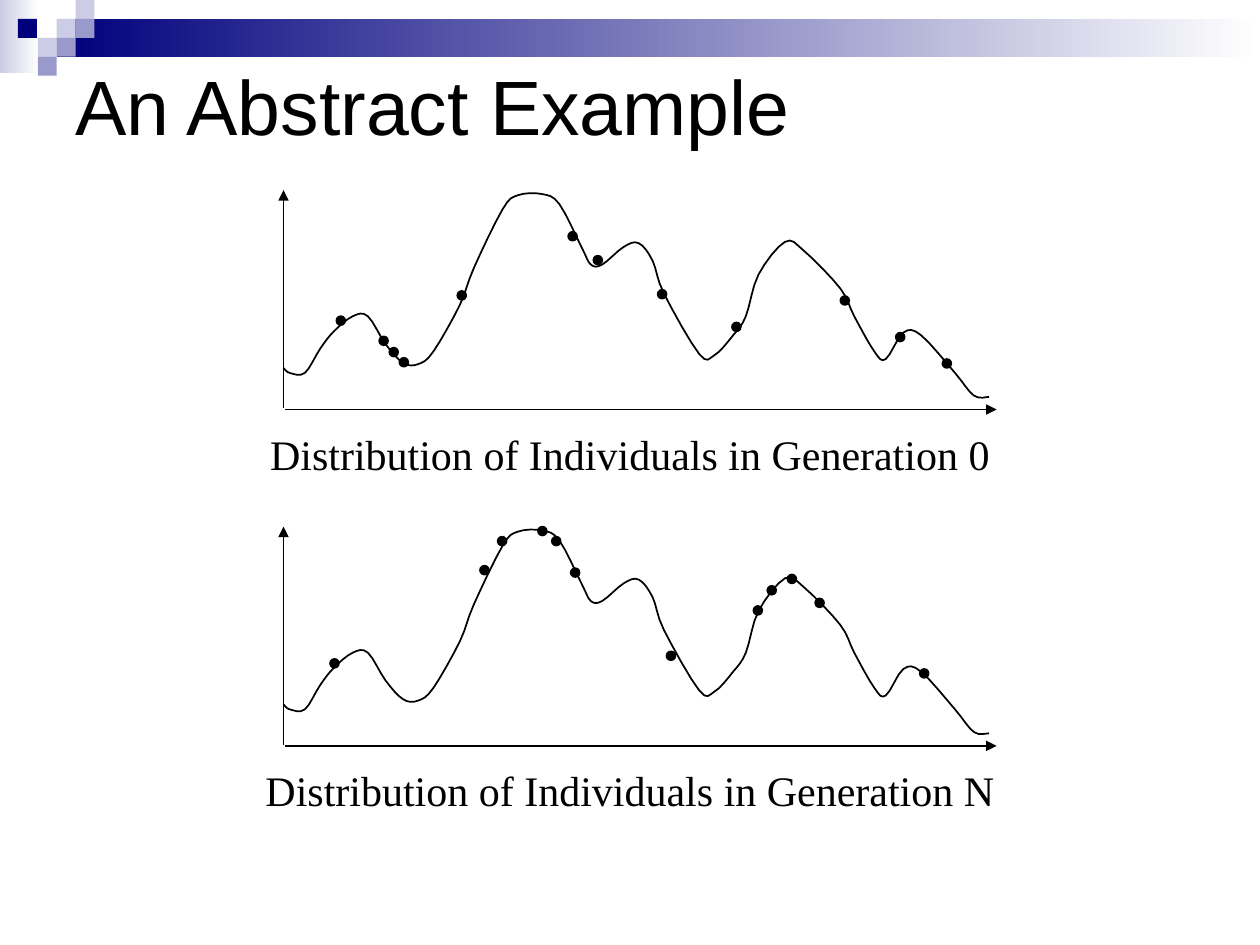
from dataclasses import dataclass

from pptx import Presentation
from pptx import util as u
from pptx.dml import color as dc
from pptx.enum import shapes as es
from pptx.enum import text as et
from pptx.oxml import ns
from lxml import etree

Point = tuple[float, float]
BLACK, NAVY, PALE, MID, WHITE = "000000", "00007D", "CCCCE6", "9999CC", "FFFFFF"
CELL, DOT, DROP = 0.15, 0.07, 2.67  # tile side, dot width, gap between plots
STEPS = 4  # segments between two knots

# Knots of the fitness curve in the upper plot, in inches
KNOTS: list[Point] = [
    (2.25, 2.92), (2.3, 2.96), (2.42, 2.96), (2.54, 2.77), (2.65, 2.63),
    (2.8, 2.51), (2.92, 2.51), (3.06, 2.73), (3.2, 2.88), (3.32, 2.89),
    (3.44, 2.79), (3.65, 2.42), (3.76, 2.13), (3.99, 1.66), (4.11, 1.55),
    (4.3, 1.54), (4.44, 1.62), (4.62, 1.97), (4.69, 2.1), (4.78, 2.1),
    (4.95, 1.96), (5.07, 1.93), (5.18, 2.07), (5.27, 2.33), (5.55, 2.81),
    (5.67, 2.82), (5.82, 2.66), (5.92, 2.51), (6.02, 2.18), (6.23, 1.92),
    (6.38, 1.99), (6.67, 2.29), (6.78, 2.51), (6.94, 2.79), (7.03, 2.85),
    (7.17, 2.64), (7.31, 2.66), (7.58, 2.96), (7.73, 3.14), (7.85, 3.15),
]


@dataclass
class Box:
    left: float
    top: float
    width: float
    height: float

    def emu(self) -> list[int]:
        return [u.Inches(n) for n in (self.left, self.top, self.width, self.height)]


@dataclass
class Plot:
    top: float  # shift down from the upper plot
    label: str
    dots: list[Point]


PLOTS = [
    Plot(0, "Distribution of Individuals in Generation 0",
         [(3.63, 2.31), (2.67, 2.51), (3.01, 2.67), (3.09, 2.76), (3.17, 2.84),
          (4.71, 2.03), (4.51, 1.84), (5.22, 2.3), (5.81, 2.56), (6.67, 2.35),
          (7.48, 2.85), (7.11, 2.64)]),
    Plot(DROP, "Distribution of Individuals in Generation N",
         [(7.3, 5.31), (6.47, 4.75), (6.25, 4.56), (6.09, 4.65), (5.98, 4.81),
          (5.29, 5.17), (4.53, 4.51), (4.27, 4.18), (4.38, 4.26), (3.95, 4.26),
          (3.81, 4.49), (2.62, 5.23)]),
]


def rgb(code: str) -> dc.RGBColor:
    return dc.RGBColor.from_string(code)


def stroke(item) -> None:
    item.line.color.rgb = rgb(BLACK)
    item.line.width = u.Pt(1)


def block(tree, box: Box, fill: str, fade: str = "") -> None:
    """Plain rectangle, fading to the right when a second colour is given."""
    item = tree.add_shape(es.MSO_SHAPE.RECTANGLE, *box.emu())
    item.shadow.inherit = False
    item.line.fill.background()
    if fade:
        item.fill.gradient()
        item.fill.gradient_angle = 0
        for stop, code in zip(item.fill.gradient_stops, (fill, fade)):
            stop.color.rgb = rgb(code)
    else:
        item.fill.solid()
        item.fill.fore_color.rgb = rgb(fill)


def dot(tree, spot: Point) -> None:
    item = tree.add_shape(es.MSO_SHAPE.OVAL, *Box(*spot, DOT, DOT).emu())
    item.shadow.inherit = False
    item.fill.solid()
    item.fill.fore_color.rgb = rgb(BLACK)
    stroke(item)


def axis(tree, start: Point, end: Point, tip: str) -> None:
    ends = [u.Inches(n) for n in (*start, *end)]
    item = tree.add_connector(es.MSO_CONNECTOR.STRAIGHT, *ends)
    stroke(item)
    etree.SubElement(item.line._get_or_add_ln(), ns.qn(f"a:{tip}"), type="triangle")
    etree.SubElement(item._element.spPr, ns.qn("a:effectLst"))


def blend(a: float, b: float, c: float, d: float, t: float) -> float:
    """Catmull-Rom value between b and c."""
    return b + t / 2 * (c - a + t * (2 * a - 5 * b + 4 * c - d
                                     + t * (3 * (b - c) + d - a)))


def smooth(knots: list[Point]) -> list[Point]:
    """Points of a smooth line that passes through every knot."""
    ext = [knots[0], *knots, knots[-1]]
    line = [tuple(blend(*axes, step / STEPS) for axes in zip(*quad))
            for quad in zip(ext, ext[1:], ext[2:], ext[3:])
            for step in range(STEPS)]
    return [*line, knots[-1]]


def curve(tree, top: float) -> None:
    spots = [(u.Inches(x), u.Inches(y + top)) for x, y in smooth(KNOTS)]
    pen = tree.build_freeform(*spots[0])
    pen.add_line_segments(spots[1:], close=False)
    item = pen.convert_to_shape()
    item.shadow.inherit = False
    item.fill.background()
    stroke(item)


def write(tree, box: Box, words: str, face: str, size: float, form: dict) -> None:
    frame = tree.add_textbox(*box.emu()).text_frame
    for key, value in form.items():
        setattr(frame, key, value)
    para = frame.paragraphs[0]
    para.text = words
    para.alignment = et.PP_ALIGN.LEFT if frame.word_wrap else et.PP_ALIGN.CENTER
    font = para.runs[0].font
    for key, value in {"name": face, "size": u.Pt(size)}.items():
        setattr(font, key, value)
    font.color.rgb = rgb(BLACK)


def main() -> None:
    deck = Presentation()
    deck.slide_width, deck.slide_height = u.Inches(10), u.Inches(7.5)
    tree = deck.slides.add_slide(deck.slide_layouts[6]).shapes

    # Banner: two fading bars and a mosaic of tiles
    block(tree, Box(0, 0, 0.31, 0.58), PALE, WHITE)
    block(tree, Box(0.45, CELL, 9.55, 0.3), NAVY, WHITE)
    tiles = [(3, 1, PALE), (4, 0, PALE), (4, 1, MID), (2, 2, PALE),
             (0.95, 1, NAVY), (3, 2, MID), (2, 3, MID)]
    for col, row, fill in tiles:
        block(tree, Box(col * CELL, row * CELL, CELL, CELL), fill)

    # Title
    write(tree, Box(0.5, 0.5, 9, 0.66), "An Abstract Example", "Arial", 44,
          {"word_wrap": True, "vertical_anchor": et.MSO_ANCHOR.MIDDLE})

    # Axes, curve and label of each plot
    for plot in PLOTS:
        base = plot.top + 3.25
        axis(tree, (2.25, plot.top + 1.51), (2.25, base - 0.01), "headEnd")
        axis(tree, (2.26, base), (7.91, base), "tailEnd")
        curve(tree, plot.top)
        write(tree, Box(2, base + 0.1, 6, 0.5), plot.label, "Times New Roman", 24,
              {"word_wrap": False, "auto_size": et.MSO_AUTO_SIZE.SHAPE_TO_FIT_TEXT})

    # Individuals on the curves
    for plot in PLOTS:
        for spot in plot.dots:
            dot(tree, spot)

    deck.save("out.pptx")


if __name__ == "__main__":
    main()
